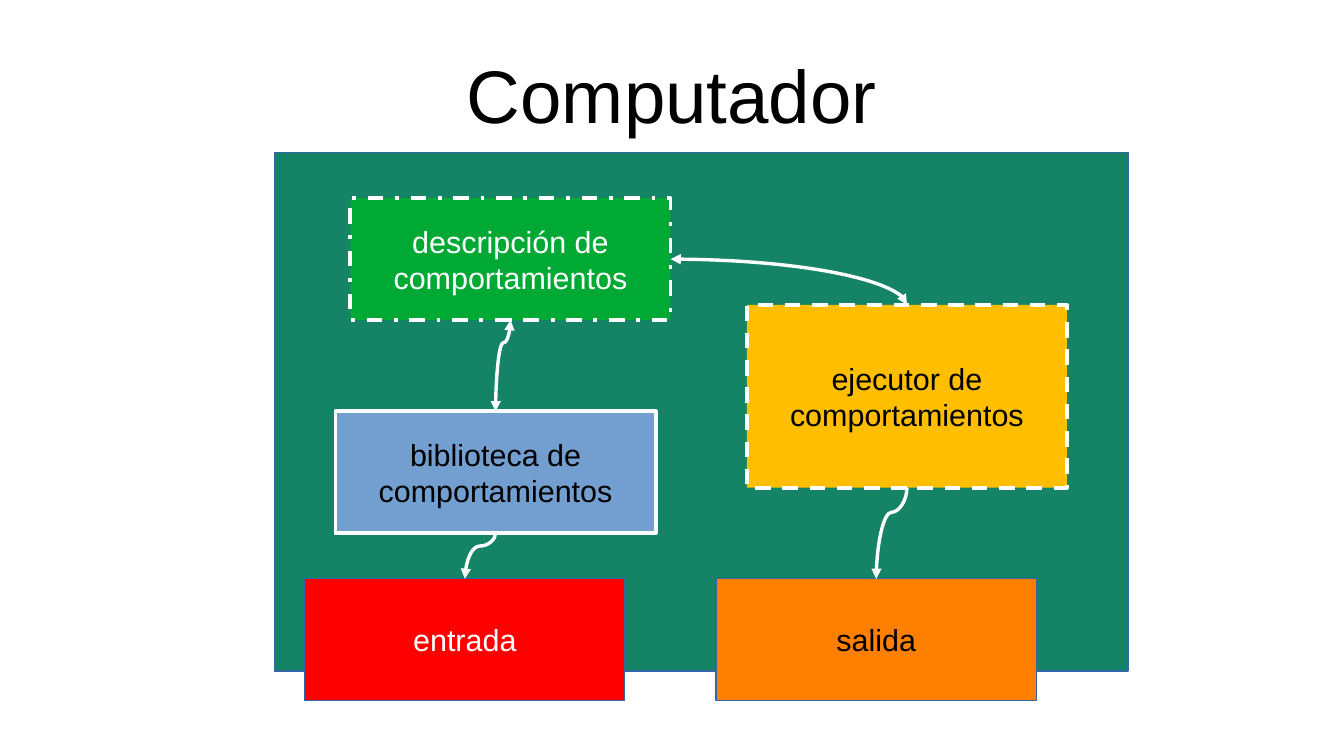
from lxml.etree import SubElement
from pptx import Presentation
from pptx.dml.color import RGBColor
from pptx.enum.dml import MSO_LINE
from pptx.enum.shapes import MSO_CONNECTOR, MSO_SHAPE
from pptx.enum.text import MSO_ANCHOR, PP_ALIGN
from pptx.oxml.ns import qn
from pptx.util import Cm, Pt

COLORS = {
    "white": "FFFFFF", "black": "000000", "teal": "158466", "green": "00A933",
    "gold": "FFBF00", "blue": "729FCF", "orange": "FF8000", "red": "FF0000",
    "edge": "3465A4",
}
WIDE, LOW = 6.67, 2.54  # usual box size, cm
TOP, LEFT, BOTTOM, RIGHT = range(4)


def tint(name):
    return RGBColor.from_string(COLORS[name])


class Board:
    def __init__(self, slide, font="Arial"):
        self.slide = slide
        self.font = font

    def label(self, shape, text, size, color, pads):
        frame = shape.text_frame
        frame.word_wrap = True
        frame.vertical_anchor = MSO_ANCHOR.MIDDLE
        frame.margin_left = frame.margin_right = Cm(pads[0])
        frame.margin_top = frame.margin_bottom = Cm(pads[1])
        para = frame.paragraphs[0]
        para.alignment = PP_ALIGN.CENTER
        run = para.add_run()
        run.text = text
        run.font.name = self.font
        run.font.size = Pt(size)
        run.font.color.rgb = tint(color)

    def title(self, text, x, y, w, h):
        box = self.slide.shapes.add_textbox(Cm(x), Cm(y), Cm(w), Cm(h))
        self.label(box, text, 44, "black", (0, 0))

    def box(self, x, y, w, h, fill, text="", ink="black",
            edge="edge", thick=0, dash=None):
        shape = self.slide.shapes.add_shape(
            MSO_SHAPE.RECTANGLE, Cm(x), Cm(y), Cm(w), Cm(h))
        shape.shadow.inherit = False
        shape.fill.solid()
        shape.fill.fore_color.rgb = tint(fill)
        shape.line.color.rgb = tint(edge)
        shape.line.width = Pt(thick)
        if dash:
            shape.line.dash_style = dash
        if text:
            self.label(shape, text, 18, ink, (0.27, 0.15))
        return shape

    def curve(self, start, out, end, bend=None, both=False):
        """Curve that leaves a box vertically; without bend it is one arc."""
        wire = self.slide.shapes.add_connector(MSO_CONNECTOR.CURVE, 0, 0, 0, 0)
        wire.begin_connect(start, out)
        wire.end_connect(end, TOP if bend else RIGHT)
        x, y = wire.begin_x, wire.begin_y
        dx, dy = wire.end_x - x, wire.end_y - y

        # Turn the frame by a quarter about its centre
        frame = wire._element.spPr.find(qn("a:xfrm"))
        frame.attrib.clear()
        frame.set("rot", str((90 if dy > 0 else 270) * 60000))
        if dy < 0:
            frame.set("flipV", "1")
        wire.width, wire.height = abs(dy), abs(dx)
        wire.left = x + (dx - abs(dy)) // 2
        wire.top = y + (dy - abs(dx)) // 2

        # Bend of the curve
        shape = wire._element.spPr.find(qn("a:prstGeom"))
        if bend:
            guide = SubElement(shape.find(qn("a:avLst")), qn("a:gd"))
            guide.set("name", "adj1")
            guide.set("fmla", f"val {round(bend * 100000)}")
        else:
            shape.set("prst", "curvedConnector2")

        # Line and arrowheads
        wire.line.color.rgb = tint("white")
        wire.line.width = Pt(0)
        line = wire._element.spPr.find(qn("a:ln"))
        for tag in ("a:headEnd", "a:tailEnd") if both else ("a:tailEnd",):
            SubElement(line, qn(tag)).set("type", "triangle")
        SubElement(wire._element.spPr, qn("a:effectLst"))


def main():
    deck = Presentation()
    deck.slide_width, deck.slide_height = Cm(28), Cm(15.75)
    board = Board(deck.slides.add_slide(deck.slide_layouts[6]))

    # Title and computer
    board.title("Computador", 1.4, 0.63, 25.2, 2.63)
    board.box(5.72, 3.18, 17.78, 10.8, "teal")

    # Parts inside the computer
    frame = {"edge": "white", "thick": 2.3}
    plan = board.box(7.3, 4.13, WIDE, LOW, "green",
                     "descripción de comportamientos", "white",
                     dash=MSO_LINE.DASH_DOT, **frame)
    doer = board.box(15.56, 6.35, WIDE, 3.81, "gold",
                     "ejecutor de comportamientos",
                     dash=MSO_LINE.DASH, **frame)
    store = board.box(6.99, 8.57, WIDE, LOW, "blue",
                      "biblioteca de comportamientos", **frame)

    # Input and output
    result = board.box(14.92, 12.06, WIDE, LOW, "orange", "salida")
    entry = board.box(6.35, 12.06, WIDE, LOW, "red", "entrada", "white")

    # Links
    board.curve(doer, TOP, plan, both=True)
    board.curve(plan, BOTTOM, store, 0.25, both=True)
    board.curve(doer, BOTTOM, result, 0.27)
    board.curve(store, BOTTOM, entry, 0.28)

    deck.save("out.pptx")


if __name__ == "__main__":
    main()
